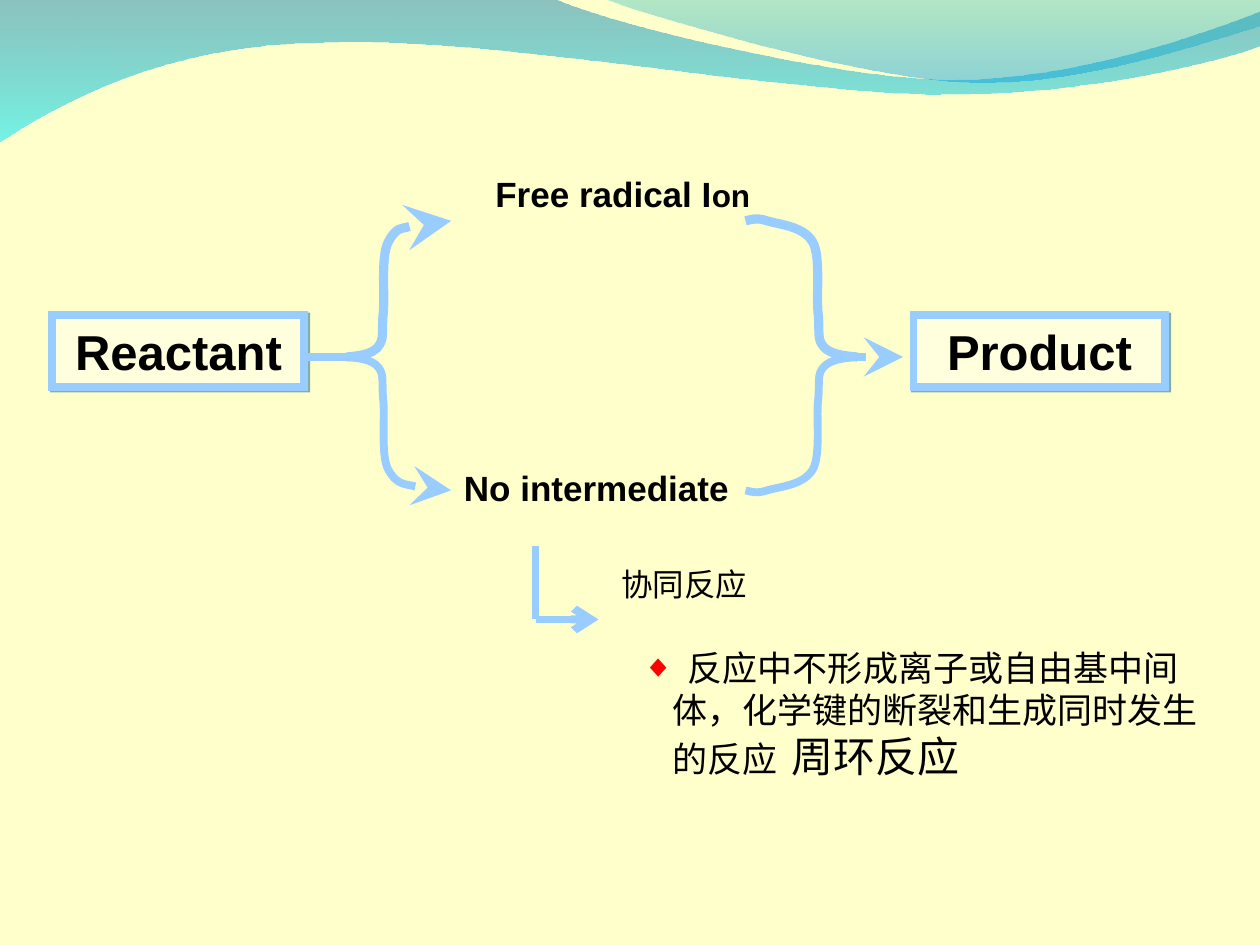
from dataclasses import dataclass

from lxml import etree
from pptx import Presentation
from pptx import util as u
from pptx.dml.color import RGBColor
from pptx.enum import shapes, text
from pptx.oxml import ns


@dataclass(frozen=True)
class Theme:
    background: str = "FFFFCC"
    panel: str = "FFFFDD"
    flow: str = "99CCFF"
    shadow: str = "04617B"
    ink: str = "000000"
    bullet: str = "FF0000"
    font: str = "Arial"
    heading: float = 28
    emphasis: float = 24
    label: float = 20
    note: float = 18
    stroke: float = 4.5
    thick_stroke: float = 5.25


def rgb(value):
    return RGBColor.from_string(value)


def add_xml(parent, tag, **attributes):
    return etree.SubElement(parent, ns.qn(tag), {k: str(v) for k, v in attributes.items()})


def curves(points):
    """Split a chain of points into cubic segments of three points each."""
    return [points[i:i + 3] for i in range(0, len(points), 3)]


class Diagram:
    def __init__(self, slide, theme):
        self.slide, self.theme = slide, theme
        slide.background.fill.solid()
        slide.background.fill.fore_color.rgb = rgb(theme.background)

    def outline(self, start, segments, close):
        """A segment of one point is a straight line, of three points a cubic curve."""
        builder = self.slide.shapes.build_freeform(*map(u.Pt, start), scale=1.0)
        for segment in segments:
            builder.add_line_segments([(u.Pt(x), u.Pt(y)) for x, y in segment], close=False)
        if close:
            builder.add_line_segments([], close=True)
        shape = builder.convert_to_shape()
        shape.shadow.inherit = False
        # Join the three line steps of each curve into one cubic
        steps = iter(list(shape._element.iter(ns.qn("a:lnTo"))))
        for segment in segments:
            group = [next(steps) for _ in segment]
            if len(group) == 3:
                cubic = etree.Element(ns.qn("a:cubicBezTo"))
                group[0].addprevious(cubic)
                for step in group:
                    cubic.append(step[0])
                    step.getparent().remove(step)
        return shape

    def stroke(self, line, width, head=None, size="lg"):
        line.color.rgb = rgb(self.theme.flow)
        line.width = u.Pt(width)
        if head:
            add_xml(line.fill._xPr, "a:tailEnd", type=head, w=size, len=size)

    def wave(self, start, segments, stops):
        band = self.outline(start, segments, close=True)
        band.line.fill.background()
        band.fill.gradient()
        band.fill.gradient_angle = 270
        for stop, (position, color, _) in zip(band.fill.gradient_stops, stops):
            stop.position = position
            stop.color.rgb = rgb(color)
        colors = band._element.spPr.iter(ns.qn("a:srgbClr"))
        for color, (_, _, opacity) in zip(colors, stops):
            add_xml(color, "a:alpha", val=opacity * 1000)

    def brace(self, points, width, head=None):
        arm = self.outline(points[0], curves(points[1:]), close=False)
        arm.fill.background()
        self.stroke(arm.line, width, head)

    def line(self, start, end, head=None, size="lg"):
        ends = [u.Pt(v) for v in (*start, *end)]
        link = self.slide.shapes.add_connector(shapes.MSO_CONNECTOR.STRAIGHT, *ends)
        self.stroke(link.line, self.theme.stroke, head, size)
        add_xml(link._element.spPr, "a:effectLst")

    def style(self, run, size, bold):
        run.font.name, run.font.size, run.font.bold = self.theme.font, u.Pt(size), bold
        run.font.color.rgb = rgb(self.theme.ink)

    def panel(self, left, top, width, height, words):
        box = self.slide.shapes.add_shape(
            shapes.MSO_SHAPE.RECTANGLE, *map(u.Pt, (left, top, width, height)))
        box.fill.solid()
        box.fill.fore_color.rgb = rgb(self.theme.panel)
        self.stroke(box.line, self.theme.stroke)
        add_xml(box.line.fill._xPr, "a:miter", lim=800000)
        box.shadow.inherit = False
        effects = box._element.spPr.find(ns.qn("a:effectLst"))
        shade = add_xml(effects, "a:outerShdw", blurRad=0, dist=u.Pt(1.4),
                        dir=45 * 60000, algn="ctr", rotWithShape=0)
        add_xml(add_xml(shade, "a:srgbClr", val=self.theme.shadow), "a:alpha", val=50000)
        paragraph = box.text_frame.paragraphs[0]
        paragraph.text = words
        paragraph.alignment = text.PP_ALIGN.CENTER
        self.style(paragraph.runs[0], self.theme.heading, True)

    def label(self, left, top, width, height, runs, wrap=True):
        """Each run is (words, size, bold)."""
        box = self.slide.shapes.add_textbox(*map(u.Pt, (left, top, width, height)))
        box.text_frame.word_wrap = wrap
        paragraph = box.text_frame.paragraphs[0]
        for words, size, bold in runs:
            run = paragraph.add_run()
            run.text = words
            self.style(run, size, bold)
        return box.text_frame

    def bullet(self, left, top, width, height, runs, indent):
        frame = self.label(left, top, width, height, runs)
        frame.margin_right = u.Pt(12)
        paragraph = frame.paragraphs[0]
        props = paragraph._p.get_or_add_pPr()
        props.set("marL", str(u.Pt(indent)))
        props.set("indent", str(-u.Pt(indent)))
        add_xml(add_xml(props, "a:buClr"), "a:srgbClr", val=self.theme.bullet)
        add_xml(props, "a:buFont", typeface=self.theme.font)
        add_xml(props, "a:buChar", char="◆")
        # Widen the single-space gaps between phrases
        for run in paragraph.runs:
            if run.text == " ":
                run.font._element.set("spc", "400")


def main():
    theme = Theme()
    deck = Presentation()
    deck.slide_width, deck.slide_height = u.Pt(720), u.Pt(540)
    diagram = Diagram(deck.slides.add_slide(deck.slide_layouts[6]), theme)

    # Waves along the top edge
    upper_edge = curves([(342.7, 12.2), (478.1, 45.4), (545.8, 45.4),
                         (614.2, 45.4), (689.8, 18.7), (720, 6.5)])
    lower_edge = curves([(707.8, 31.7), (626.4, 54.7), (537.1, 54),
                         (447.8, 54), (275, 20.2), (185, 24.5),
                         (92.9, 25.2), (33.1, 59.8), (-0.7, 81.4)])
    diagram.wave((0, -0.7), [[(316.8, -0.7)], *upper_edge, [(720.7, 25.9)], *lower_edge],
                 [(0, "0079AF", 45), (1, "00EBF8", 55)])
    crest = curves([(366.5, 7.9), (491, 44.6), (553.7, 46.8),
                    (616.3, 49.7), (691.9, 23), (720, 15.1)])
    diagram.wave((344.9, -0.7), [*crest, [(720, 0)]],
                 [(0, "00ADB6", 30), (1, "009BE5", 45)])

    # Reactant and product
    for left, words in ((30, "Reactant"), (522, "Product")):
        diagram.panel(left, 180, 144, 41, words)

    # Braces: one arm, mirrored up and down, left and right
    axis = 204
    arm = [(0, 0), (7.2, 0.7), (14.4, 1.4), (18, 5.8), (21.6, 10.1), (20.2, 13.7),
           (20.9, 23.8), (22.3, 33.8), (19.4, 56.9), (23.8, 65.5), (28.8, 74.9),
           (41.8, 75.6), (48.2, 77.8), (54, 79.9), (56.9, 78.5), (59.8, 77.8)]
    diagram.line((174, axis), (204, axis))
    diagram.line((484, axis), (516, axis), "stealth")
    for origin, stretch, head in ((198, 1, "stealth"), (490, -1.07, None)):
        for rise, width in ((-1, theme.thick_stroke), (0.98, theme.stroke)):
            points = [(origin + stretch * x, axis + rise * y) for x, y in arm]
            diagram.brace(points, width, head)

    # Two routes
    diagram.label(276, 95, 160, 32, [("Free radical I", theme.label, True),
                                     ("on", theme.note, True)], wrap=False)
    diagram.label(258, 263, 168, 32, [("No intermediate", theme.label, True)])

    # Concerted reaction and its definition
    diagram.label(348, 319.5, 216, 29, [("协同反应", theme.note, False)])
    diagram.line((306, 312), (306, 354))
    diagram.line((306, 354), (342, 354), "arrow", "med")
    gap = (" ", theme.note, True)
    diagram.bullet(360, 366, 342, 84, [
        gap,
        ("反应中不形成离子或自由基中间体，化学键的断裂和生成同时发生的反应", theme.label, False),
        gap,
        ("周环反应", theme.emphasis, False)], indent=17)

    deck.save("out.pptx")


if __name__ == "__main__":
    main()
